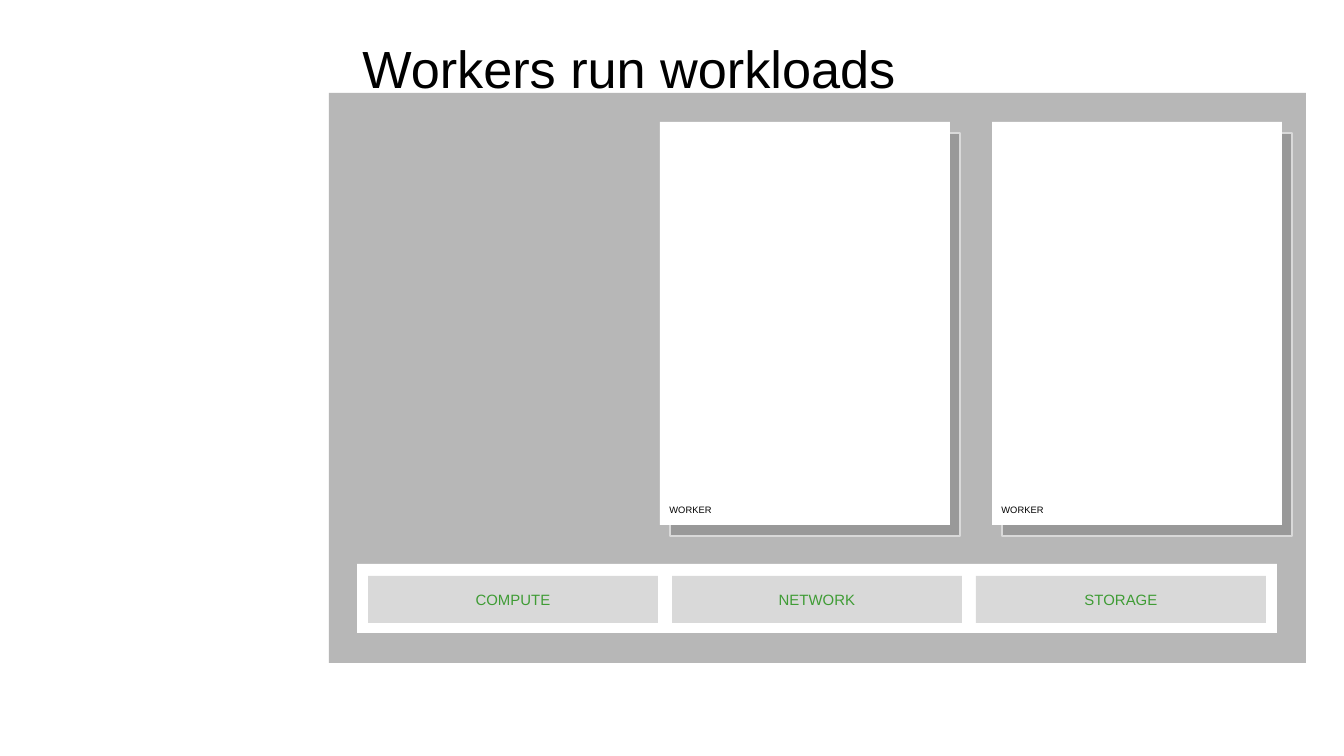
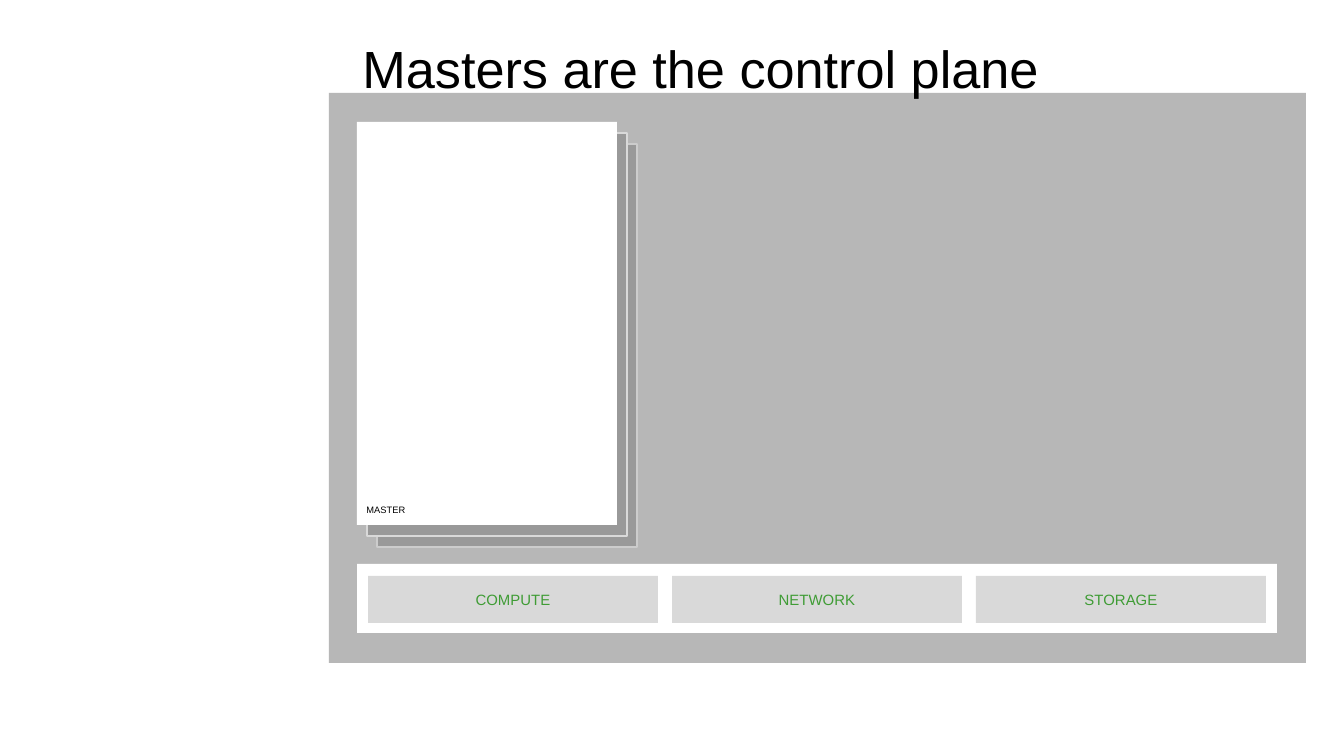
import pptx
import pptx.util
import pptx.dml.color
import pptx.enum.shapes
import pptx.enum.text

SLIDES = [
    {"title": "Workers run workloads",
     "nodes": [("WORKER", 660, 290, ["edge"]), ("WORKER", 992, 290, ["edge"])]},
    {"title": "Masters are the control plane",
     "nodes": [("MASTER", 357, 260, ["edge", "far_edge"])]},
]
SERVICES = ["COMPUTE", "NETWORK", "STORAGE"]

COLORS = {"panel": "B7B7B7", "card": "FFFFFF", "stack": "999999", "tile": "D9D9D9",
          "edge": "D9D9D9", "far_edge": "CCCCCC", "text": "000000", "service": "3F9C35"}
FONT = "Arial"
SLIDE_SIZE = (1344, 756)
TITLE = (349, 23, 957, 106)
PANEL = (329, 93, 977, 570)
BAR = (357, 564, 920, 69)
TILE_W, TILE_H, TILE_GAP = 290, 47, 14
NODE_TOP, NODE_H = 122, 403
STACK_DX, STACK_DY = 10, 11

ALIGN = pptx.enum.text.PP_ALIGN
ANCHOR = pptx.enum.text.MSO_ANCHOR


def px(n):
    return round(n * 914400 / 134.4)


def rgb(name):
    return pptx.dml.color.RGBColor.from_string(COLORS[name])


def write(sp, text, size, color="text", align=ALIGN.LEFT, anchor=ANCHOR.TOP, inset=0.07):
    tf = sp.text_frame
    tf.word_wrap = True
    tf.auto_size = pptx.enum.text.MSO_AUTO_SIZE.NONE
    tf.vertical_anchor = anchor
    tf.margin_left = tf.margin_right = pptx.util.Inches(inset)
    tf.margin_top = tf.margin_bottom = pptx.util.Inches(inset)
    p = tf.paragraphs[0]
    p.alignment = align
    r = p.add_run()
    r.text = text
    r.font.name = FONT
    r.font.size = pptx.util.Pt(size)
    r.font.color.rgb = rgb(color)


def add_rect(s, box, fill, line=None):
    sp = s.shapes.add_shape(pptx.enum.shapes.MSO_SHAPE.RECTANGLE, *map(px, box))
    sp.shadow.inherit = False
    sp.fill.solid()
    sp.fill.fore_color.rgb = rgb(fill)
    if line:
        sp.line.color.rgb = rgb(line)
        sp.line.width = pptx.util.Pt(0.75)
    else:
        sp.line.fill.background()
    return sp


def add_node(s, label, left, width, edges):
    for depth in range(len(edges), 0, -1):
        box = (left + depth * STACK_DX, NODE_TOP + depth * STACK_DY, width, NODE_H)
        add_rect(s, box, "stack", edges[depth - 1])
    card = add_rect(s, (left, NODE_TOP, width, NODE_H), "card")
    write(card, label, 5, anchor=ANCHOR.BOTTOM)


def add_services(s):
    add_rect(s, BAR, "card")
    left, top, width, height = BAR
    step = TILE_W + TILE_GAP
    first = left + (width - len(SERVICES) * step + TILE_GAP) / 2
    for i, name in enumerate(SERVICES):
        box = (first + i * step, top + (height - TILE_H) / 2 + 1, TILE_W, TILE_H)
        write(add_rect(s, box, "tile"), name, 8, color="service",
              align=ALIGN.CENTER, anchor=ANCHOR.MIDDLE)


def add_title(s, text):
    sp = s.shapes.title
    sp.left, sp.top, sp.width, sp.height = map(px, TITLE)
    write(sp, text, 28, inset=0.1)
    s.shapes.element.append(sp.element)


def main():
    prs = pptx.Presentation()
    prs.slide_width, prs.slide_height = map(px, SLIDE_SIZE)
    for content in SLIDES:
        s = prs.slides.add_slide(prs.slide_layouts[5])
        add_rect(s, PANEL, "panel")
        for node in content["nodes"]:
            add_node(s, *node)
        add_services(s)
        add_title(s, content["title"])
    prs.save("out.pptx")


if __name__ == "__main__":
    main()
